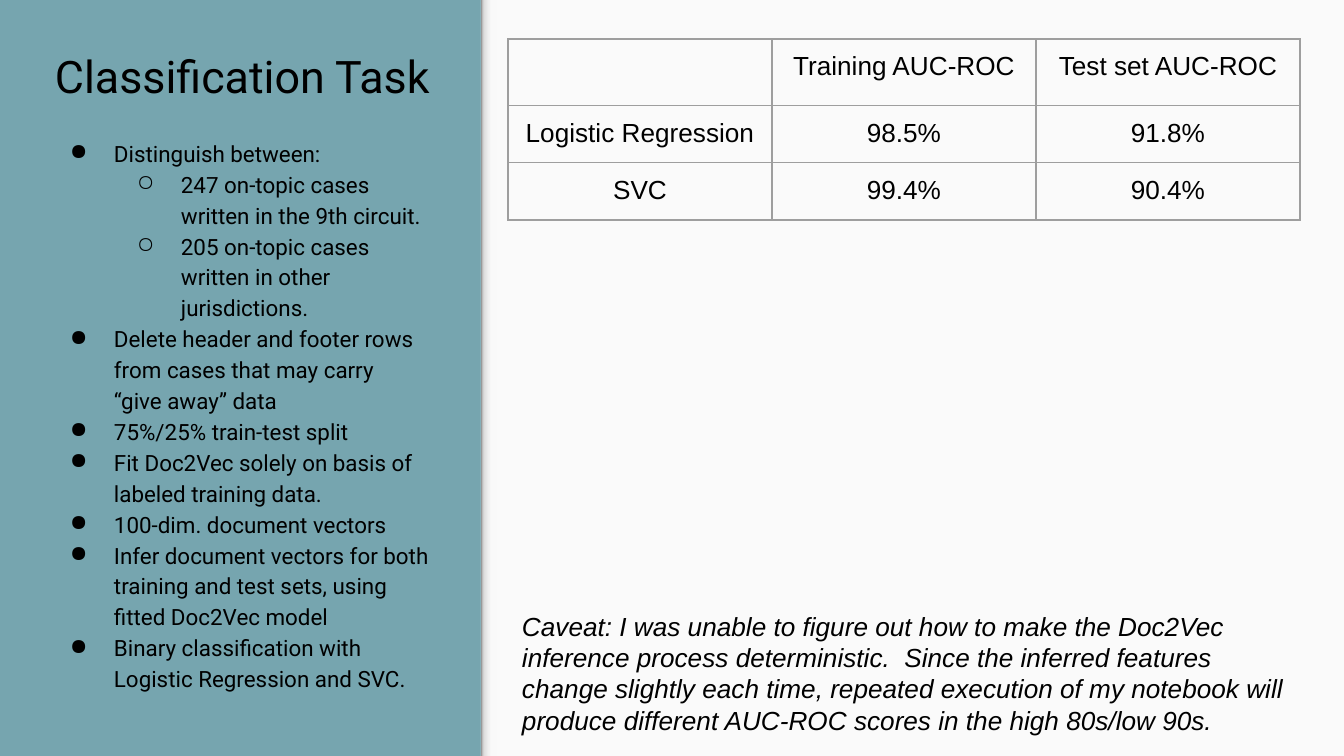
import copy

import pptx
import pptx.dml.color
import pptx.enum.shapes
import pptx.enum.text
import pptx.oxml
import pptx.oxml.ns
import pptx.util
from lxml import etree

# Content
TITLE = "Classification Task"
BULLETS = [
    (0, "Distinguish between:"),
    (1, "247 on-topic cases written in the 9th circuit."),
    (1, "205 on-topic cases written in other jurisdictions."),
    (0, "Delete header and footer rows from cases that may carry  “give away” data"),
    (0, "75%/25% train-test split"),
    (0, "Fit Doc2Vec solely on basis of labeled training data."),
    (0, "100-dim. document vectors"),
    (0, "Infer document vectors for both training and test sets, using fitted Doc2Vec model"),
    (0, "Binary classification with Logistic Regression and SVC."),
]
SCORES = [
    ("", "Training AUC-ROC", "Test set AUC-ROC"),
    ("Logistic Regression", "98.5%", "91.8%"),
    ("SVC", "99.4%", "90.4%"),
]
CAVEAT = (
    "Caveat: I was unable to figure out how to make the Doc2Vec inference process "
    "deterministic.  Since the inferred features change slightly each time, repeated "
    "execution of my notebook will produce different AUC-ROC scores in the high 80s/low 90s."
)

# Look and measures (px)
COLORS = {"background": "76A5AF", "panel": "FAFAFA", "text": "000000", "border": "9E9E9E"}
SHADE_STOPS = [(0, "F9F9F9"), (0.36, "F9F9F9"), (0.8, "DEDEDE"), (1, "999999")]
WIDTH, HEIGHT = 1344, 756
PANEL_LEFT, SHADE = 481, 16
INSET = 13
COLUMN_WIDTH, ROW_HEIGHTS = 264, (64, 56, 56)
INDENT, HANGING = 67, 44
MARKS = "●○"


def px(value):
    return pptx.util.Emu(round(value * 914400 / 134.4))


def rgb(value):
    return pptx.dml.color.RGBColor.from_string(value)


def add_child(parent, tag, **attributes):
    return etree.SubElement(parent, pptx.oxml.ns.qn(tag), attributes)


def style_font(font, name, size, italic=None):
    font.name, font.size, font.italic = name, pptx.util.Pt(size), italic
    font.color.rgb = rgb(COLORS["text"])


def add_rectangle(left, top, width, height):
    shape = slide.shapes.add_shape(
        pptx.enum.shapes.MSO_SHAPE.RECTANGLE, px(left), px(top), px(width), px(height))
    shape.shadow.inherit = False
    shape.line.fill.background()
    return shape


def set_insets(target):
    target.margin_left = target.margin_right = px(INSET)
    target.margin_top = target.margin_bottom = px(INSET)


def add_text(left, top, width, height):
    text_frame = slide.shapes.add_textbox(px(left), px(top), px(width), px(height)).text_frame
    text_frame.word_wrap = True
    set_insets(text_frame)
    return text_frame


def add_bullet(paragraph, level):
    properties = paragraph._p.get_or_add_pPr()
    properties.set("marL", str(px(INDENT * (level + 1))))
    properties.set("indent", str(px(-HANGING)))
    add_child(add_child(properties, "a:buClr"), "a:srgbClr", val=COLORS["text"])
    add_child(properties, "a:buChar", char=MARKS[level])


def add_borders(cell):
    properties = cell._tc.get_or_add_tcPr()
    for position, side in enumerate(("a:lnL", "a:lnR", "a:lnT", "a:lnB")):
        line = add_child(properties, side, w=str(pptx.util.Pt(0.75)))
        properties.insert(position, line)
        add_child(add_child(line, "a:solidFill"), "a:srgbClr", val=COLORS["border"])


presentation = pptx.Presentation()
presentation.slide_width, presentation.slide_height = px(WIDTH), px(HEIGHT)
slide = presentation.slides.add_slide(presentation.slide_layouts[6])
slide.background.fill.solid()
slide.background.fill.fore_color.rgb = rgb(COLORS["background"])

# Light panel
panel = add_rectangle(PANEL_LEFT, 0, WIDTH - PANEL_LEFT, HEIGHT)
panel.fill.solid()
panel.fill.fore_color.rgb = rgb(COLORS["panel"])

# Shaded edge, turned upright along the panel's left side
edge = add_rectangle(PANEL_LEFT + SHADE / 2 - HEIGHT / 2, HEIGHT / 2 - SHADE / 2, HEIGHT, SHADE)
edge.rotation = 270
edge.fill.gradient()
edge.fill.gradient_angle = 90
stop_list = edge._element.spPr.find(".//" + pptx.oxml.ns.qn("a:gsLst"))
for stop_element in list(stop_list):
    stop_list.append(copy.deepcopy(stop_element))
for stop, (position, color) in zip(edge.fill.gradient_stops, SHADE_STOPS):
    stop.position = position
    stop.color.rgb = rgb(color)

# Title
title = add_text(42, 27, 412, 89)
title.vertical_anchor = pptx.enum.text.MSO_ANCHOR.BOTTOM
title.text = TITLE
style_font(title.paragraphs[0].runs[0].font, "Roboto", 24)

# Bullet list
body = add_text(34, 123, 412, 558)
for index, (level, text) in enumerate(BULLETS):
    paragraph = body.add_paragraph() if index else body.paragraphs[0]
    paragraph.text = text
    paragraph.level = level
    paragraph.line_spacing = 1.15
    add_bullet(paragraph, level)
    style_font(paragraph.runs[0].font, "Roboto", 12)

# Score table
table = slide.shapes.add_table(
    len(SCORES), len(SCORES[0]), px(508), px(39),
    px(COLUMN_WIDTH * len(SCORES[0])), px(sum(ROW_HEIGHTS))).table
table.first_row = table.horz_banding = False
for column in table.columns:
    column.width = px(COLUMN_WIDTH)
for row, height, texts in zip(table.rows, ROW_HEIGHTS, SCORES):
    row.height = px(height)
    for cell, text in zip(row.cells, texts):
        set_insets(cell)
        cell.fill.background()
        add_borders(cell)
        if text:
            cell.text = text
            paragraph = cell.text_frame.paragraphs[0]
            paragraph.alignment = pptx.enum.text.PP_ALIGN.CENTER
            style_font(paragraph.runs[0].font, "Arial", 14)

# Caveat
caveat = add_text(509, 597, 789, 138)
caveat.text = CAVEAT
style_font(caveat.paragraphs[0].runs[0].font, "Arial", 14, italic=True)

presentation.save("out.pptx")
